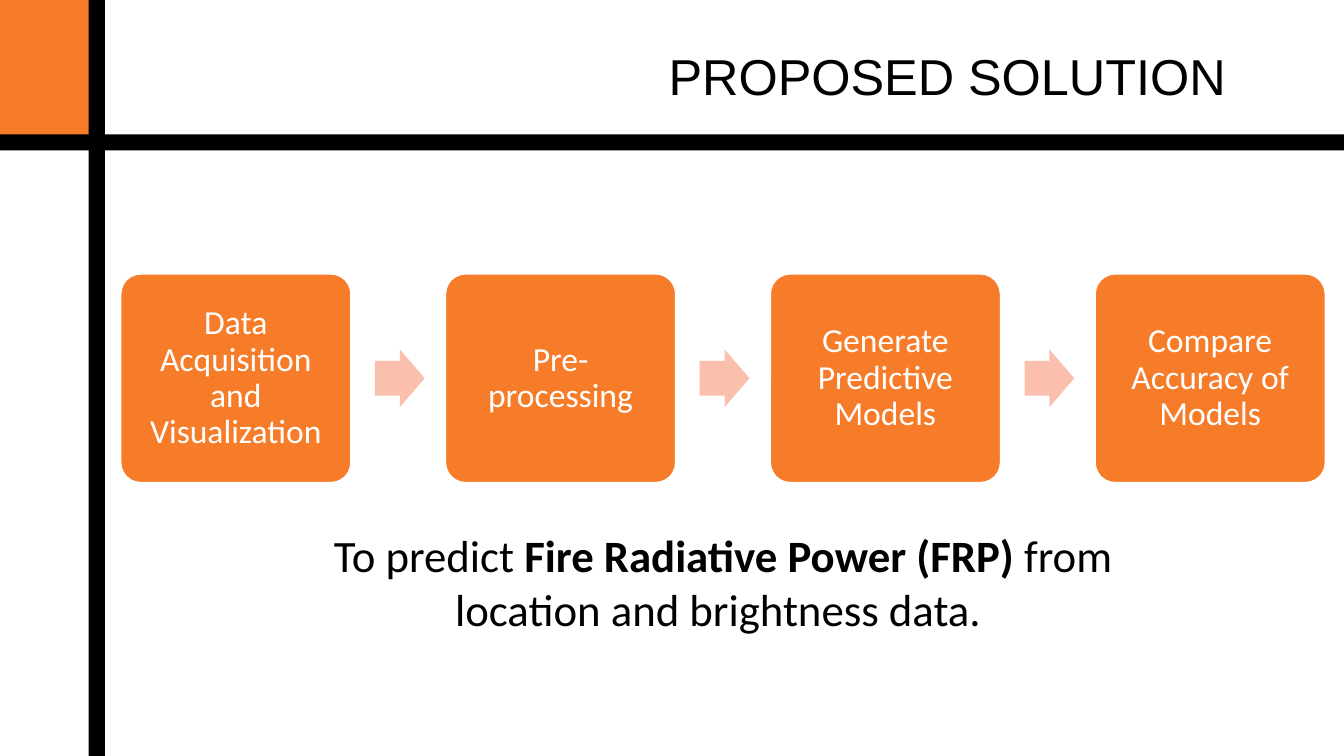
from pptx import Presentation
from pptx.dml.color import RGBColor
from pptx.enum.shapes import MSO_SHAPE
from pptx.enum.text import MSO_ANCHOR, PP_ALIGN
from pptx.util import Inches, Pt

TITLE = "PROPOSED SOLUTION"
STEPS = [
    "Data Acquisition and Visualization",
    "Pre-processing",
    "Generate Predictive Models",
    "Compare Accuracy of Models",
]
GOAL = [  # text, bold
    ("To predict ", False),
    ("Fire Radiative Power (FRP) ", True),
    ("from location and brightness data. ", False),
]
COLORS = {"orange": "F77C29", "peach": "FABFAD", "black": "000000", "white": "FFFFFF"}

SLIDE_W = 10
SLIDE_H = SLIDE_W * 9 / 16
BAR = 0.12
BAR_X, BAR_Y = 0.66, 1.0
STEP_LEFT, STEP_TOP, STEP_W, STEP_H = 0.89, 2.03, 1.73, 1.57
LAST_STEP_LEFT = 8.14
STEP_PITCH = (LAST_STEP_LEFT - STEP_LEFT) / (len(STEPS) - 1)
ARROW_W, ARROW_H = 0.37, 0.43
ARROW_OFFSET = 1.9  # from the left edge of the step before it


def color(name):
    return RGBColor.from_string(COLORS[name])


def add_block(slide, kind, box, fill, adjustments=(), outline=None):
    block = slide.shapes.add_shape(kind, *map(Inches, box))
    block.shadow.inherit = False
    block.fill.solid()
    block.fill.fore_color.rgb = color(fill)
    for index, value in enumerate(adjustments):
        block.adjustments[index] = value
    if outline:
        block.line.color.rgb = color(outline)
        block.line.width = Pt(2)
    else:
        block.line.fill.background()
    return block


def write(shape, pieces, size, font, ink, align, anchor, margins):
    """Fill a shape with one paragraph made of (text, bold) pieces."""
    frame = shape.text_frame
    frame.word_wrap = True
    frame.vertical_anchor = anchor
    frame.margin_left = frame.margin_right = Inches(margins[0])
    frame.margin_top = frame.margin_bottom = Inches(margins[1])
    paragraph = frame.paragraphs[0]
    paragraph.alignment = align
    for text, bold in pieces:
        run = paragraph.add_run()
        run.text = text
        run.font.size = Pt(size)
        run.font.name = font
        run.font.bold = bold
        run.font.color.rgb = color(ink)
    return paragraph


def add_frame(slide):
    for box, fill in [
        ((0, 0, BAR_X + BAR, BAR_Y + BAR / 2), "orange"),
        ((0, BAR_Y, SLIDE_W, BAR), "black"),
        ((BAR_X, 0, BAR, SLIDE_H), "black"),
    ]:
        add_block(slide, MSO_SHAPE.RECTANGLE, box, fill)


def add_process(slide):
    arrow_top = STEP_TOP + (STEP_H - ARROW_H) / 2
    for index, label in enumerate(STEPS):
        left = STEP_LEFT + index * STEP_PITCH
        step = add_block(slide, MSO_SHAPE.ROUNDED_RECTANGLE,
                         (left, STEP_TOP, STEP_W, STEP_H), "orange", [0.1], "white")
        paragraph = write(step, [(label, False)], 18, "Calibri", "white",
                          PP_ALIGN.CENTER, MSO_ANCHOR.MIDDLE, (0.12, 0.07))
        paragraph.line_spacing = 0.9
        if index < len(STEPS) - 1:
            add_block(slide, MSO_SHAPE.RIGHT_ARROW,
                      (left + ARROW_OFFSET, arrow_top, ARROW_W, ARROW_H),
                      "peach", [0.6, 0.5])


def main():
    deck = Presentation()
    deck.slide_width, deck.slide_height = Inches(SLIDE_W), Inches(SLIDE_H)
    slide = deck.slides.add_slide(deck.slide_layouts[6])

    add_frame(slide)
    add_process(slide)
    goal = slide.shapes.add_textbox(*map(Inches, (2.28, 3.88, 6.2, 0.91)))
    write(goal, GOAL, 24, "Calibri", "black", PP_ALIGN.CENTER, MSO_ANCHOR.TOP, (0.1, 0.05))
    title = slide.shapes.add_textbox(*map(Inches, (0.91, 0.43, 8.31, 0.26)))
    write(title, [(TITLE, False)], 27, "Arial", "black",
          PP_ALIGN.RIGHT, MSO_ANCHOR.MIDDLE, (0.1, 0.1))

    deck.save("out.pptx")


if __name__ == "__main__":
    main()
